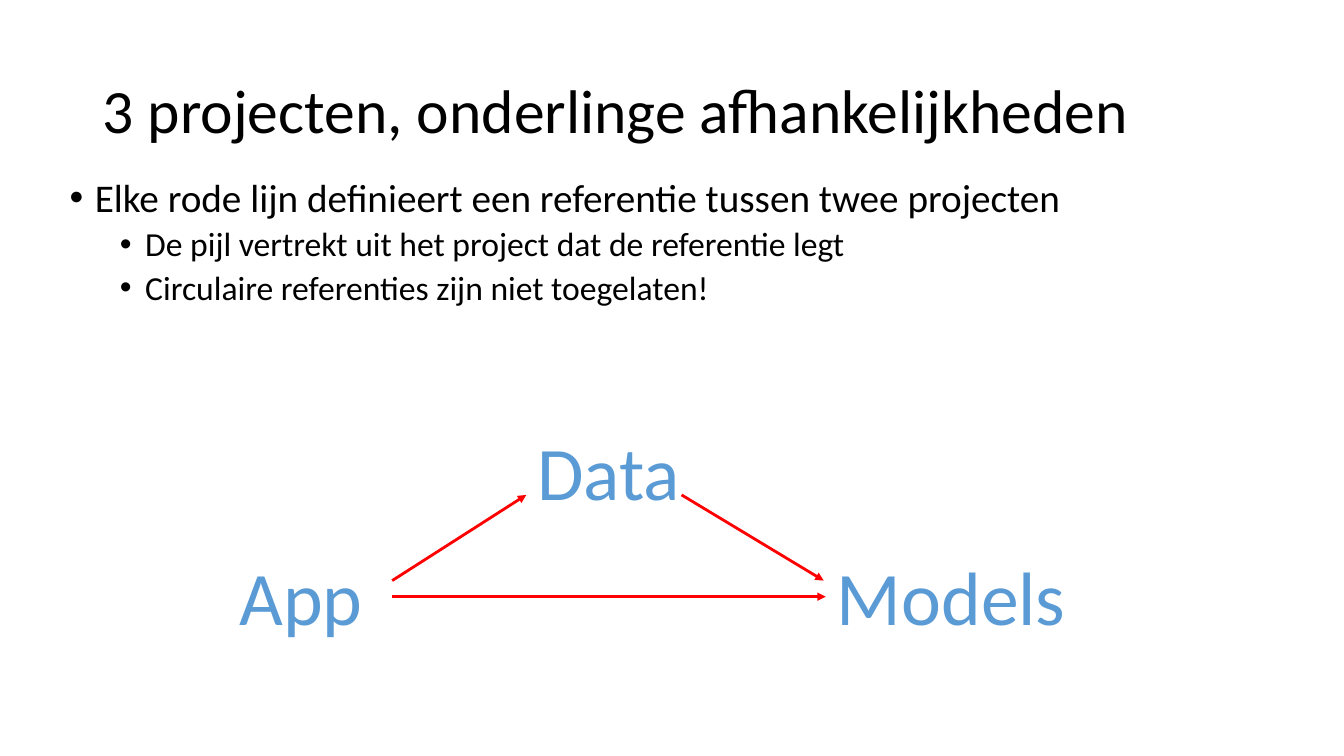
from pptx import Presentation
from pptx.dml.color import RGBColor
from pptx.enum.shapes import MSO_CONNECTOR
from pptx.enum.text import MSO_ANCHOR, MSO_AUTO_SIZE, PP_ALIGN
from pptx.oxml.ns import qn
from pptx.util import Inches, Pt
from lxml import etree

STRAIGHT = MSO_CONNECTOR.STRAIGHT
MIDDLE, TOP = MSO_ANCHOR.MIDDLE, MSO_ANCHOR.TOP
NO_FIT, GROW = MSO_AUTO_SIZE.NONE, MSO_AUTO_SIZE.SHAPE_TO_FIT_TEXT
LEFT, CENTER = PP_ALIGN.LEFT, PP_ALIGN.CENTER
COLORS = {"text": "000000", "project": "5B9BD5", "reference": "FF0000"}


def place(shape, left, top, width, height):
    shape.left, shape.top = Inches(left), Inches(top)
    shape.width, shape.height = Inches(width), Inches(height)


def style(para, size, color, align):
    para.alignment = align
    for span in para.runs:
        span.font.name = "Calibri"
        span.font.size = Pt(size)
        span.font.color.rgb = RGBColor.from_string(COLORS[color])


deck = Presentation()
deck.slide_width, deck.slide_height = Inches(13.33), Inches(7.5)
page = deck.slides.add_slide(deck.slide_layouts[1])

# Title
title = page.shapes.title
place(title, 0.92, 0.4, 11.5, 1.45)
title.text_frame.text = "3 projecten, onderlinge afhankelijkheden"
title.text_frame.vertical_anchor = MIDDLE
title.text_frame.auto_size = NO_FIT
title.text_frame.paragraphs[0].line_spacing = 0.9
style(title.text_frame.paragraphs[0], 44, "text", LEFT)

# Bullet list: level, text
bullets = [
    (0, "Elke rode lijn definieert een referentie tussen twee projecten"),
    (1, "De pijl vertrekt uit het project dat de referentie legt"),
    (1, "Circulaire referenties zijn niet toegelaten!"),
]
body = page.placeholders[1]
place(body, 0.59, 1.72, 11.5, 4.76)
frame = body.text_frame
frame.text = "\n".join(text for level, text in bullets)
frame.vertical_anchor = TOP
frame.auto_size = NO_FIT
for para, (level, text) in zip(frame.paragraphs, bullets):
    para.level = level
    para.line_spacing = 0.9
    para.space_before = Pt(5 if level else 10)
    style(para, 24 if level else 28, "text", LEFT)
    properties = para._p.get_or_add_pPr()
    properties.set("marL", str(Inches(0.25 + 0.5 * level)))
    properties.set("indent", str(Inches(-0.25)))
    etree.SubElement(properties, qn("a:buFont")).set("typeface", "Arial")
    etree.SubElement(properties, qn("a:buChar")).set("char", "•")

# Project names: left, top, width
projects = {
    "App": (2.11, 5.41, 1.75),
    "Data": (5.22, 4.17, 1.63),
    "Models": (8.19, 5.41, 2.49),
}
for name, (left, top, width) in projects.items():
    box = page.shapes.add_textbox(Inches(left), Inches(top), Inches(width), Inches(1.01))
    box.text_frame.text = name
    box.text_frame.word_wrap = False
    box.text_frame.auto_size = GROW
    style(box.text_frame.paragraphs[0], 54, "project", CENTER)

# Reference arrows: start x, start y, end x, end y
references = [
    (3.89, 5.92, 8.19, 5.92),
    (3.89, 5.76, 5.22, 4.91),
    (6.76, 4.91, 8.17, 5.76),
]
for ends in references:
    arrow = page.shapes.add_connector(STRAIGHT, *map(Inches, ends))
    arrow.line.color.rgb = RGBColor.from_string(COLORS["reference"])
    arrow.line.width = Pt(2)
    etree.SubElement(arrow.line._get_or_add_ln(), qn("a:tailEnd")).set("type", "triangle")
    etree.SubElement(arrow._element.spPr, qn("a:effectLst"))

deck.save("out.pptx")
